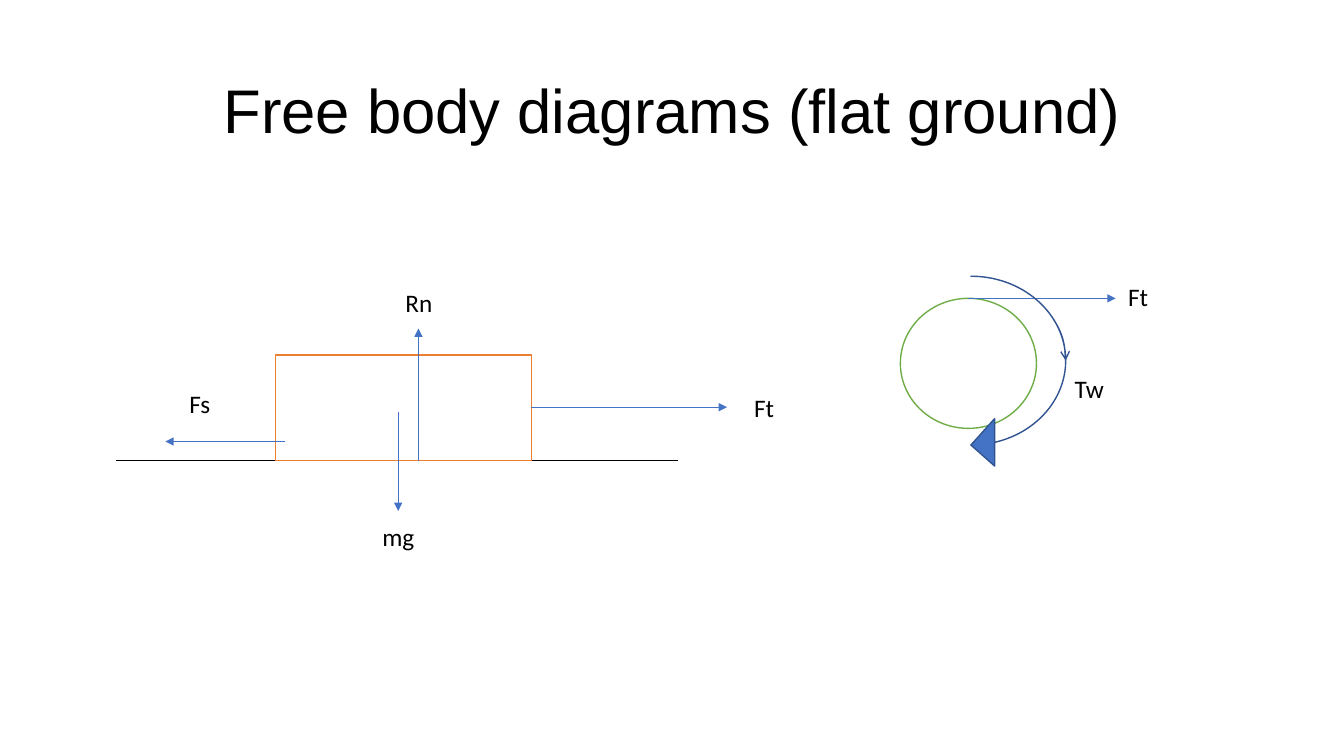
from dataclasses import dataclass

from lxml.etree import SubElement
from pptx import Presentation
from pptx.dml.color import RGBColor as RGB
from pptx.enum.shapes import MSO_CONNECTOR as LINE, MSO_SHAPE as SHAPE
from pptx.enum.text import MSO_ANCHOR as ANCHOR, MSO_AUTO_SIZE as FIT, PP_ALIGN as ALIGN
from pptx.oxml.ns import qn
from pptx.util import Inches, Pt


@dataclass(frozen=True)
class Theme:
    text: str = "000000"
    paper: str = "FFFFFF"
    force: str = "4472C4"
    torque: str = "325491"
    vehicle: str = "ED7D31"
    wheel: str = "70AD47"
    title_font: str = "Arial"
    label_font: str = "Calibri"
    title_size: int = 44
    label_size: int = 18
    outline: float = 1
    thin: float = 0.5


THEME = Theme()


def set_attrs(obj, values):
    for name, value in values.items():
        setattr(obj, name, value)


def write(tf, text, font, size, align):
    p = tf.paragraphs[0]
    p.alignment = align
    r = p.add_run()
    r.text = text
    set_attrs(r.font, {"name": font, "size": Pt(size)})
    r.font.color.rgb = RGB.from_string(THEME.text)
    return p


def add_head(line, end, kind):
    SubElement(line._get_or_add_ln(), qn(f"a:{end}"), type=kind)


def add_label(s, box, text, align=ALIGN.LEFT):
    tf = s.shapes.add_textbox(*map(Inches, box)).text_frame
    set_attrs(tf, {"word_wrap": True, "auto_size": FIT.SHAPE_TO_FIT_TEXT})
    write(tf, text, THEME.label_font, THEME.label_size, align)


def add_line(s, x1, y1, x2, y2, color):
    cn = s.shapes.add_connector(LINE.STRAIGHT, *map(Inches, (x1, y1, x2, y2)))
    cn.line.color.rgb = RGB.from_string(color)
    cn.line.width = Pt(THEME.thin)
    SubElement(cn._element.spPr, qn("a:effectLst"))
    return cn


def add_force(s, x, y, dx, dy):
    add_head(add_line(s, x, y, x + dx, y + dy, THEME.force).line, "tailEnd", "triangle")


def add_outline(s, kind, box, fill, color):
    sp = s.shapes.add_shape(kind, *map(Inches, box))
    sp.shadow.inherit = False
    sp.fill.solid()
    sp.fill.fore_color.rgb = RGB.from_string(fill)
    sp.line.color.rgb = RGB.from_string(color)
    sp.line.width = Pt(THEME.outline)
    return sp


def add_title(s, box, text):
    title = s.shapes.title
    set_attrs(title, dict(zip(("left", "top", "width", "height"), map(Inches, box))))
    title.text_frame.vertical_anchor = ANCHOR.MIDDLE
    p = write(title.text_frame, text, THEME.title_font, THEME.title_size, ALIGN.CENTER)
    p.line_spacing = 0.9


def add_vehicle(s, x, y):
    ground = y + 1.77
    left, width, height = x + 1.58, 2.54, 1.05
    right = left + width
    add_line(s, x, ground, x + 5.57, ground, THEME.text)
    add_outline(s, SHAPE.RECTANGLE, (left, ground - height, width, height),
                THEME.paper, THEME.vehicle)
    add_force(s, x + 2.8, y + 1.29, 0, 0.98)
    add_label(s, (x + 2.44, y + 2.32, 0.72, 0.4), "mg", ALIGN.CENTER)
    add_force(s, x + 3, ground, 0, -1.31)
    add_label(s, (x + 2.76, y, 0.49, 0.4), "Rn", ALIGN.CENTER)
    add_force(s, right, y + 1.24, 1.94, 0)
    add_label(s, (right + 2.11, y + 1.04, 1.12, 0.4), "Ft")
    add_force(s, left + 0.1, y + 1.58, -1.19, 0)
    add_label(s, (x + 0.63, y + 1, 0.64, 0.42), "Fs")


def add_wheel(s, x, y):
    width, top = 1.35, y + 0.22
    add_outline(s, SHAPE.OVAL, (x, top, width, 1.29), THEME.paper, THEME.wheel)
    add_force(s, x + width / 2, top, 1.46, 0)
    add_label(s, (x + 2.16, y, 0.72, 0.4), "Ft")
    torque = add_outline(s, SHAPE.CURVED_LEFT_ARROW, (x + 0.7, y, 0.94, 1.91),
                         THEME.force, THEME.torque)
    for i, value in enumerate((0, 0.5, 0.25)):
        torque.adjustments[i] = value
    add_head(torque.line, "headEnd", "arrow")
    add_label(s, (x + 1.63, y + 0.91, 0.78, 0.4), "Tw")


def main():
    prs = Presentation()
    set_attrs(prs, {"slide_width": Inches(13.33), "slide_height": Inches(7.5)})
    s = prs.slides.add_slide(prs.slide_layouts[5])
    add_title(s, (0.92, 0.4, 11.5, 1.45), "Free body diagrams (flat ground)")
    add_vehicle(s, 1.15, 2.8)
    add_wheel(s, 8.93, 2.74)
    prs.save("out.pptx")


if __name__ == "__main__":
    main()
